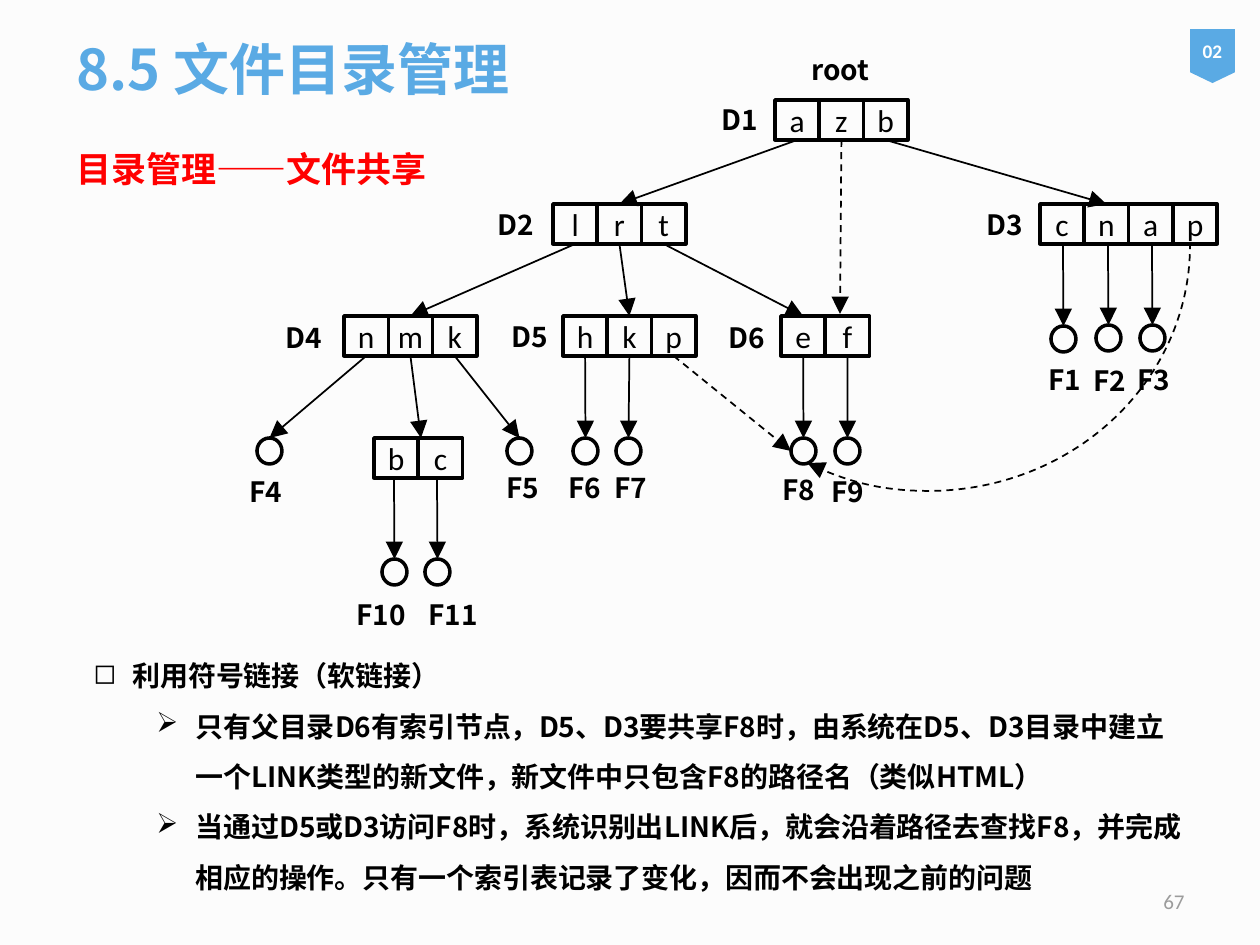
"""Build the slide on file sharing through symbolic links in a directory tree."""
from lxml.etree import SubElement
from pptx import Presentation
from pptx.dml.color import RGBColor
from pptx.enum.dml import MSO_LINE
from pptx.enum.shapes import MSO_CONNECTOR, MSO_SHAPE
from pptx.enum.text import MSO_ANCHOR, PP_ALIGN
from pptx.oxml.ns import qn
from pptx.util import Pt

PX = 914400 / 126
COLORS = {"bg": "FCFCFC", "blue": "5AAAE4", "black": "000000",
          "white": "FFFFFF", "red": "FF0000", "grey": "9C9C9C"}
LATIN, CJK = "Calibri", "Noto Sans CJK SC"
CELL_W, CELL_H = 44.3, 40
FILE_W, FILE_H = 25, 26
LABEL_W, LABEL_H = 104, 47

DIRS = {"D1": (775, 100, "azb"), "D2": (553, 204, "lrt"),
        "D3": (1040, 204, "cnap"), "D4": (344, 316, "nmk"),
        "D5": (563, 316, "hkp"), "D6": (781, 316, "ef"),
        "M": (374, 438, "bc")}
FILES = {"F1": (1051, 326), "F2": (1096, 325), "F3": (1140, 325),
         "F4": (257, 438), "F5": (507, 438), "F6": (573, 438),
         "F7": (616, 438), "F8": (791, 438), "F9": (835, 438),
         "F10": (382, 559), "F11": (425, 559)}
LABELS = {"root": (799, 46), "D1": (709, 96), "D2": (485, 201),
          "D3": (974, 201), "D4": (273, 314), "D5": (499, 313),
          "D6": (716, 314), "F1": (1036, 356), "F2": (1081, 357),
          "F3": (1125, 356), "F4": (237, 468), "F5": (494, 464),
          "F6": (556, 464), "F7": (602, 464), "F8": (770, 466),
          "F9": (819, 468), "F10": (344, 591), "F11": (416, 591)}
LINKS = [("D1a", "D2r"), ("D1b", "D3n"), ("D2l", "D4m"), ("D2r", "D5k"),
         ("D2t", "D6e"), ("D4n", "F4"), ("D4m", (421, 438)), ("D4k", "F5"),
         ("D5h", "F6"), ("D5k", "F7"), ("D6e", "F8"), ("D6f", "F9"),
         ((1063, 245), "F1"), ((1108, 245), "F2"), ((1152, 245), "F3"),
         ((394, 478), "F10"), ((437, 478), "F11")]
SOFT_LINKS = [("D1z", (840, 314)), ("D5p", (791, 451))]
ARC_ANGLES = (161.56, 17.44)
BODY = [
    (0, "◻", "利用符号链接（软链接）"),
    (1, "➢", "只有父目录D6有索引节点，D5、D3要共享F8时，由系统在D5、D3目录中"
             "建立一个LINK类型的新文件，新文件中只包含F8的路径名（类似HTML）"),
    (1, "➢", "当通过D5或D3访问F8时，系统识别出LINK后，就会沿着路径去查找F8，"
             "并完成相应的操作。只有一个索引表记录了变化，因而不会出现之前的问题"),
]


def emu(*lengths):
    return [round(v * PX) for v in lengths]


def rgb(name):
    return RGBColor.from_string(COLORS[name])


def write(p, text, size, color="black", font=CJK, bold=True, **fmt):
    for name, value in fmt.items():
        setattr(p, name, value)
    r = p.add_run()
    r.text = text
    for name, value in {"size": Pt(size), "bold": bold, "name": font}.items():
        setattr(r.font, name, value)
    r.font.color.rgb = rgb(color)
    SubElement(r.font._element, qn("a:ea"), typeface=font)


def textbox(s, box, anchor=MSO_ANCHOR.TOP):
    tf = s.shapes.add_textbox(*emu(*box)).text_frame
    tf.word_wrap = True
    tf.vertical_anchor = anchor
    return tf


def shape(s, kind, box, fill=None, width=2):
    sp = s.shapes.add_shape(kind, *emu(*box))
    sp.shadow.inherit = False
    if fill:
        sp.fill.solid()
        sp.fill.fore_color.rgb = rgb(fill)
        sp.line.fill.background()
    else:
        sp.fill.background()
        sp.line.color.rgb = rgb("black")
        sp.line.width = Pt(width)
    return sp


def shape_text(sp, *args, **kwargs):
    tf = sp.text_frame
    tf.margin_left = tf.margin_right = tf.margin_top = tf.margin_bottom = 0
    tf.vertical_anchor = MSO_ANCHOR.MIDDLE
    write(tf.paragraphs[0], *args, alignment=PP_ALIGN.CENTER, **kwargs)


def arrow(line, dashed):
    line.color.rgb = rgb("black")
    line.width = Pt(1)
    if dashed:
        line.dash_style = MSO_LINE.DASH
    SubElement(line._get_or_add_ln(), qn("a:tailEnd"),
               type="triangle", w="lg", len="lg")


def link(s, nodes, start, end, dashed):
    points = [(0, 0) if node in nodes else node for node in (start, end)]
    c = s.shapes.add_connector(MSO_CONNECTOR.STRAIGHT,
                               *emu(*points[0], *points[1]))
    if start in nodes:
        c.begin_connect(nodes[start], 2)
    if end in nodes:
        c.end_connect(nodes[end], 0)
    arrow(c.line, dashed)
    SubElement(c._element.spPr, qn("a:effectLst"))


def draw_tree(s):
    nodes = {}
    for name, (x, y, letters) in DIRS.items():
        for i, letter in enumerate(letters):
            box = (x + i * CELL_W, y, CELL_W, CELL_H)
            sp = nodes[name + letter] = shape(s, MSO_SHAPE.RECTANGLE, box)
            shape_text(sp, letter, 18, font=LATIN, bold=False)
    for name, (x, y) in FILES.items():
        nodes[name] = shape(s, MSO_SHAPE.OVAL, (x, y, FILE_W, FILE_H))
    for links, dashed in ((LINKS, False), (SOFT_LINKS, True)):
        for start, end in links:
            link(s, nodes, start, end, dashed)
    arc = shape(s, MSO_SHAPE.ARC, (683, -16, 491, 523), width=1)
    arc.rotation = 90
    arc.adjustments[0], arc.adjustments[1] = ARC_ANGLES
    arrow(arc.line, True)
    for text, (x, y) in LABELS.items():
        write(textbox(s, (x, y, LABEL_W, LABEL_H)).paragraphs[0], text, 16)


def draw_body(s):
    tf = textbox(s, (81, 636, 1114, 261))
    for i, (level, bullet, text) in enumerate(BODY):
        p = tf.add_paragraph() if i else tf.paragraphs[0]
        pPr = p._p.get_or_add_pPr()
        margin, hang = emu(39 + 63 * level, 39)
        pPr.set("marL", str(margin))
        pPr.set("indent", str(-hang))
        SubElement(pPr, qn("a:buChar"), char=bullet)
        write(p, text, 16, level=level, line_spacing=1.5)


def main():
    prs = Presentation()
    prs.slide_width, prs.slide_height = emu(1260, 945)
    s = prs.slides.add_slide(prs.slide_layouts[6])
    s.background.fill.solid()
    s.background.fill.fore_color.rgb = rgb("bg")
    tag = shape(s, MSO_SHAPE.FLOWCHART_OFFPAGE_CONNECTOR, (1190, 29, 45, 54), "blue")
    shape_text(tag, "02", 11, "white", LATIN)
    draw_tree(s)
    draw_body(s)
    title = textbox(s, (64, 0, 1134, 136), MSO_ANCHOR.MIDDLE)
    write(title.paragraphs[0], "8.5 文件目录管理", 32, "blue")
    subtitle = textbox(s, (64, 120, 1101, 94))
    write(subtitle.paragraphs[0], "目录管理——文件共享", 20, "red", line_spacing=1.5)
    number = textbox(s, (903, 876, 294, 50), MSO_ANCHOR.MIDDLE)
    write(number.paragraphs[0], "67", 12, "grey", LATIN, False,
          alignment=PP_ALIGN.RIGHT)
    prs.save("out.pptx")


if __name__ == "__main__":
    main()
